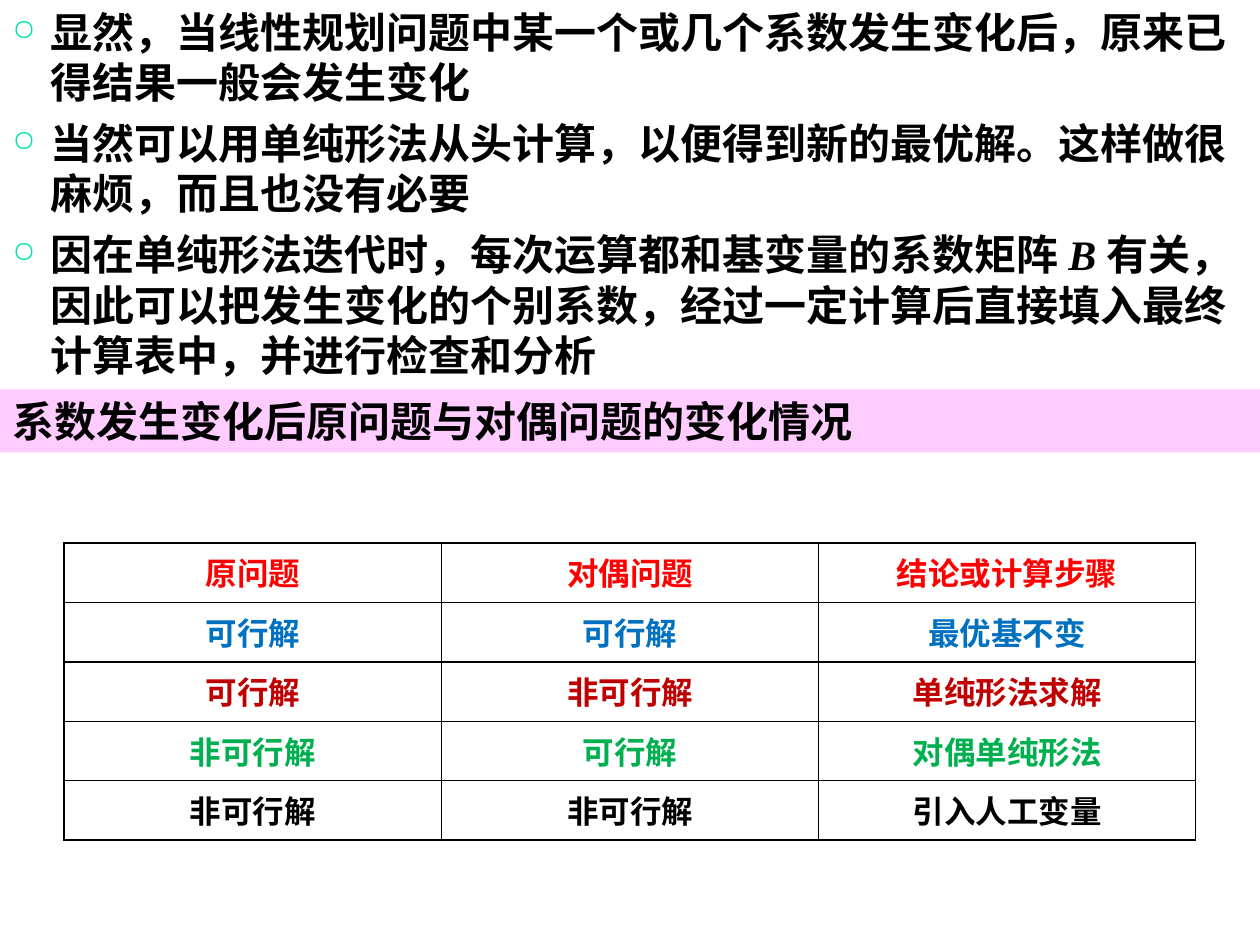
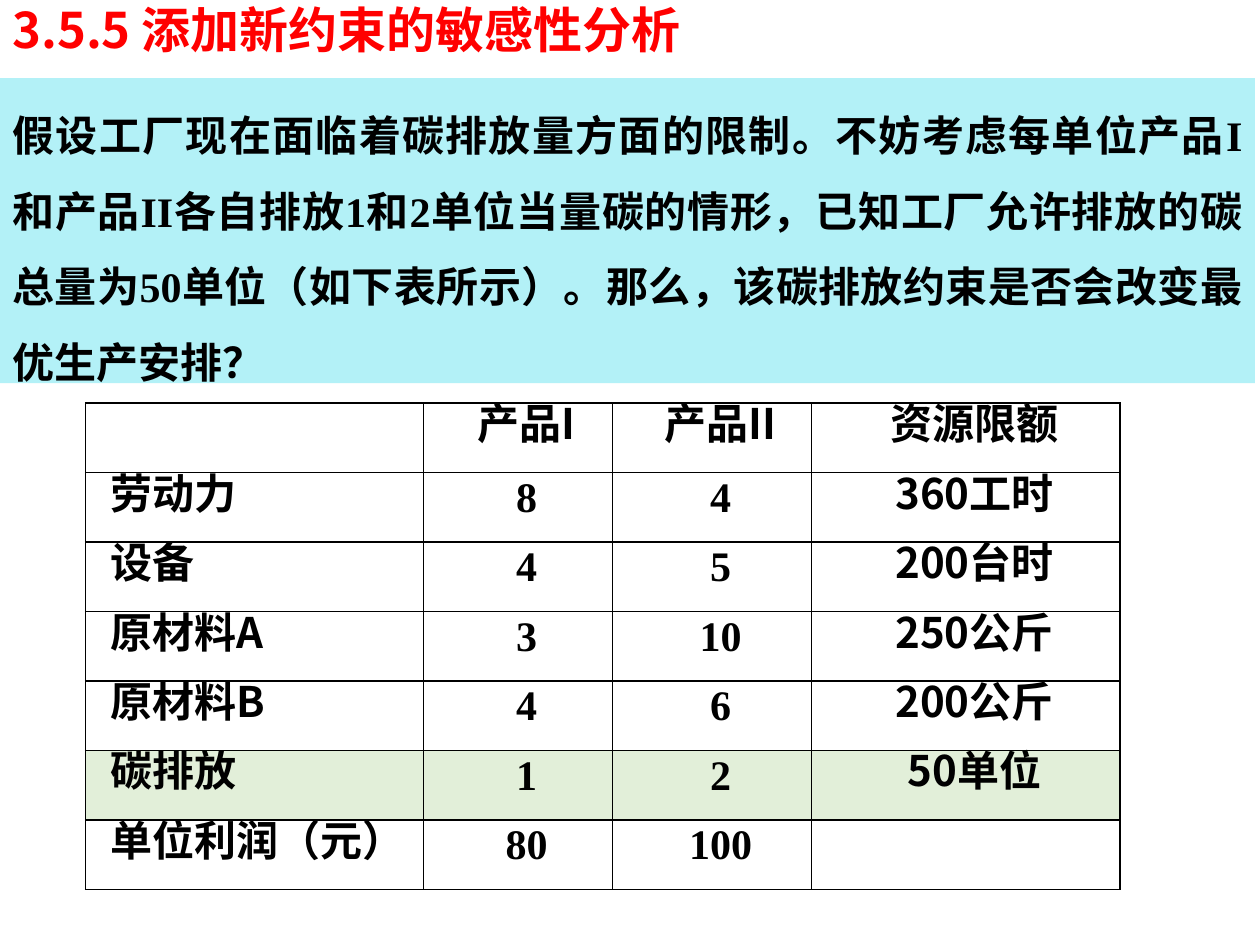
from lxml import etree
from pptx import Presentation
from pptx import util as u
from pptx.dml.color import RGBColor
from pptx.enum import shapes, text
from pptx.oxml.ns import qn

SANS, SERIF, LEAD = "Noto Sans CJK SC", "Times New Roman", "Lato"
BLACK, WHITE, RED = "000000", "FFFFFF", "FF0000"
PINK, AQUA, PALE_GREEN, MINT = "FFCCFF", "B3F1F7", "E2EFD9", "00E4A8"
WIDTH, HEIGHT = u.Inches(10), u.Inches(7.5)
COLUMN, ROW = WIDTH / 100, HEIGHT / 75
CENTER, JUSTIFY = text.PP_ALIGN.CENTER, text.PP_ALIGN.JUSTIFY

POINTS = [
    ["显然，当线性规划问题中某一个或几个系数发生变化后，原来已得结果一般会发生变化"],
    ["当然可以用单纯形法从头计算，以便得到新的最优解。这样做很麻烦，而且也没有必要"],
    ["因在单纯形法迭代时，每次运算都和基变量的系数矩阵 ", "B ",
     "有关，因此可以把发生变化的个别系数，经过一定计算后直接填入最终计算表中，并进行检查和分析"],
]
CASES = [
    (RED, ["原问题", "对偶问题", "结论或计算步骤"]),
    ("0070C0", ["可行解", "可行解", "最优基不变"]),
    ("C00000", ["可行解", "非可行解", "单纯形法求解"]),
    ("00B050", ["非可行解", "可行解", "对偶单纯形法"]),
    (BLACK, ["非可行解", "非可行解", "引入人工变量"]),
]
QUESTION = [
    "假设工厂现在面临着碳排放量方面的限制。不妨考虑每单位产品I和产品II各自排放1和2单位当量碳的情形",
    "，",
    "已知工厂允许排放的碳总量为50单位（如下表所示）。那么",
    "，",
    "该碳排放约束是否会改变最优生产安排？",
]
RESOURCES = [
    ["", "产品I", "产品II", "资源限额"],
    ["劳动力", "8", "4", "360工时"],
    ["设备", "4", "5", "200台时"],
    ["原材料A", "3", "10", "250公斤"],
    ["原材料B", "4", "6", "200公斤"],
    ["碳排放", "1", "2", "50单位"],
    ["单位利润（元）", "80", "100", ""],
]


def color(value):
    """Turn a hex string into a colour."""
    return RGBColor.from_string(value)


def place(left, top, width, height):
    """Turn grid columns and rows into slide lengths."""
    return [round(n * step) for n, step in
            zip((left, top, width, height), (COLUMN, ROW, COLUMN, ROW))]


def child(parent, tag, **attributes):
    """Append a drawing element with attributes."""
    return etree.SubElement(parent, qn("a:" + tag), attributes)


def style(span, size, tint=BLACK, latin=SANS, asian=SANS):
    """Format one bold run with its Latin and East Asian fonts."""
    font = span.font
    font.size, font.bold, font.name = u.Pt(size), True, latin
    font.color.rgb = color(tint)
    child(font._element, "ea", typeface=asian)


def write(para, pieces, size, **look):
    """Fill a paragraph with equally styled runs."""
    para.text = pieces[0]
    for piece in pieces[1:]:
        para.add_run().text = piece
    for span in para.runs:
        style(span, size, **look)


def add_text(page, area):
    """Add a wrapping text box and return its frame."""
    frame = page.shapes.add_textbox(*place(*area)).text_frame
    frame.word_wrap = True
    return frame


def add_band(page, area, fill, anchor):
    """Add a plain coloured band and return its frame."""
    band = page.shapes.add_shape(shapes.MSO_SHAPE.RECTANGLE, *place(*area))
    band.shadow.inherit = False
    band.fill.solid()
    band.fill.fore_color.rgb = color(fill)
    band.line.fill.background()
    frame = band.text_frame
    frame.word_wrap, frame.vertical_anchor = True, anchor
    frame.paragraphs[0].alignment = text.PP_ALIGN.LEFT
    return frame


def add_bullet(para):
    """Give a paragraph a hanging ring bullet."""
    indent = u.Inches(0.3)
    props = para._p.get_or_add_pPr()
    props.set("marL", str(indent))
    props.set("indent", str(-indent))
    child(child(props, "buClr"), "srgbClr", val=MINT)
    child(props, "buSzPct", val="70000")
    child(props, "buChar", char="○")


def set_cell(cell, fill):
    """Give a cell thin black borders and an optional fill."""
    props = cell._tc.get_or_add_tcPr()
    for side in ("lnL", "lnR", "lnT", "lnB"):
        line = child(props, side, w=str(u.Pt(1)))
        child(child(line, "solidFill"), "srgbClr", val=BLACK)
    if fill:
        cell.fill.solid()
        cell.fill.fore_color.rgb = color(fill)
    else:
        cell.fill.background()


def add_grid(page, area, widths, rows, fills):
    """Add a bordered table and return its cells row by row."""
    frame = page.shapes.add_table(len(rows), len(widths), *place(*area))
    table = frame.table
    table.first_row = table.horz_banding = False
    for column, width in zip(table.columns, widths):
        column.width = round(width * COLUMN)
    for row, fill in zip(table.rows, fills):
        row.height = round(area[3] * ROW / len(rows))
        for cell in row.cells:
            set_cell(cell, fill)
    return [list(row.cells) for row in table.rows]


def build_changes(page):
    """Build the slide on how changed coefficients affect both problems."""
    frame = add_text(page, (0, 0, 100, 31.2))
    for number, pieces in enumerate(POINTS):
        para = frame.add_paragraph() if number else frame.paragraphs[0]
        if number:
            para.space_before = u.Pt(6)
        add_bullet(para)
        write(para, pieces, 24, asian=LEAD)
    matrix = frame.paragraphs[-1].runs[1].font
    matrix.name, matrix.italic = SERIF, True

    heading = add_band(page, (0, 30.9, 100, 5), PINK, text.MSO_ANCHOR.MIDDLE)
    write(heading.paragraphs[0], ["系数发生变化后原问题与对偶问题的变化情况"], 24,
          latin=LEAD, asian=LEAD)

    rows = [labels for _, labels in CASES]
    fills = [None] + [WHITE] * (len(rows) - 1)
    cells = add_grid(page, (5.1, 43.1, 89.8, 23.6), [89.8 / 3] * 3, rows, fills)
    for line, (tint, labels) in zip(cells, CASES):
        for cell, label in zip(line, labels):
            para = cell.text_frame.paragraphs[0]
            para.alignment = CENTER
            write(para, [label], 18, tint=tint)


def fill_resource(cell, label, first):
    """Write one entry of the resource table."""
    cell.vertical_anchor = text.MSO_ANCHOR.MIDDLE
    cell.margin_left = cell.margin_right = u.Inches(0.06)
    cell.margin_top = cell.margin_bottom = u.Inches(0.03)
    para = cell.text_frame.paragraphs[0]
    para.alignment = JUSTIFY if first else CENTER
    para.line_spacing = u.Pt(16)
    para._p.get_or_add_pPr().set("indent", str(u.Inches(0.14)))
    write(para, [label], 24, latin=SERIF if label.isdigit() else SANS)


def build_constraint(page):
    """Build the slide on adding a carbon constraint."""
    title = add_text(page, (0, 0, 95.5, 6))
    title.margin_top = 0
    write(title.paragraphs[0], ["3.5.5 添加新约束的敏感性分析"], 28, tint=RED)

    para = add_band(page, (0, 6.2, 99.6, 24.2), AQUA, text.MSO_ANCHOR.TOP).paragraphs[0]
    para.alignment, para.line_spacing = JUSTIFY, 1.5
    write(para, QUESTION, 24, latin=SERIF, asian=LEAD)

    fills = [PALE_GREEN if row[0] == "碳排放" else None for row in RESOURCES]
    cells = add_grid(page, (6.8, 32, 82, 38.6), [26.8, 15, 15.8, 24.5], RESOURCES, fills)
    for line, labels in zip(cells, RESOURCES):
        for number, (cell, label) in enumerate(zip(line, labels)):
            if label:
                fill_resource(cell, label, number == 0)


def main():
    """Build and save the deck."""
    deck = Presentation()
    deck.slide_width, deck.slide_height = WIDTH, HEIGHT
    for build in (build_changes, build_constraint):
        page = deck.slides.add_slide(deck.slide_layouts[6])
        page.background.fill.solid()
        page.background.fill.fore_color.rgb = color(WHITE)
        build(page)
    deck.save("out.pptx")


if __name__ == "__main__":
    main()
